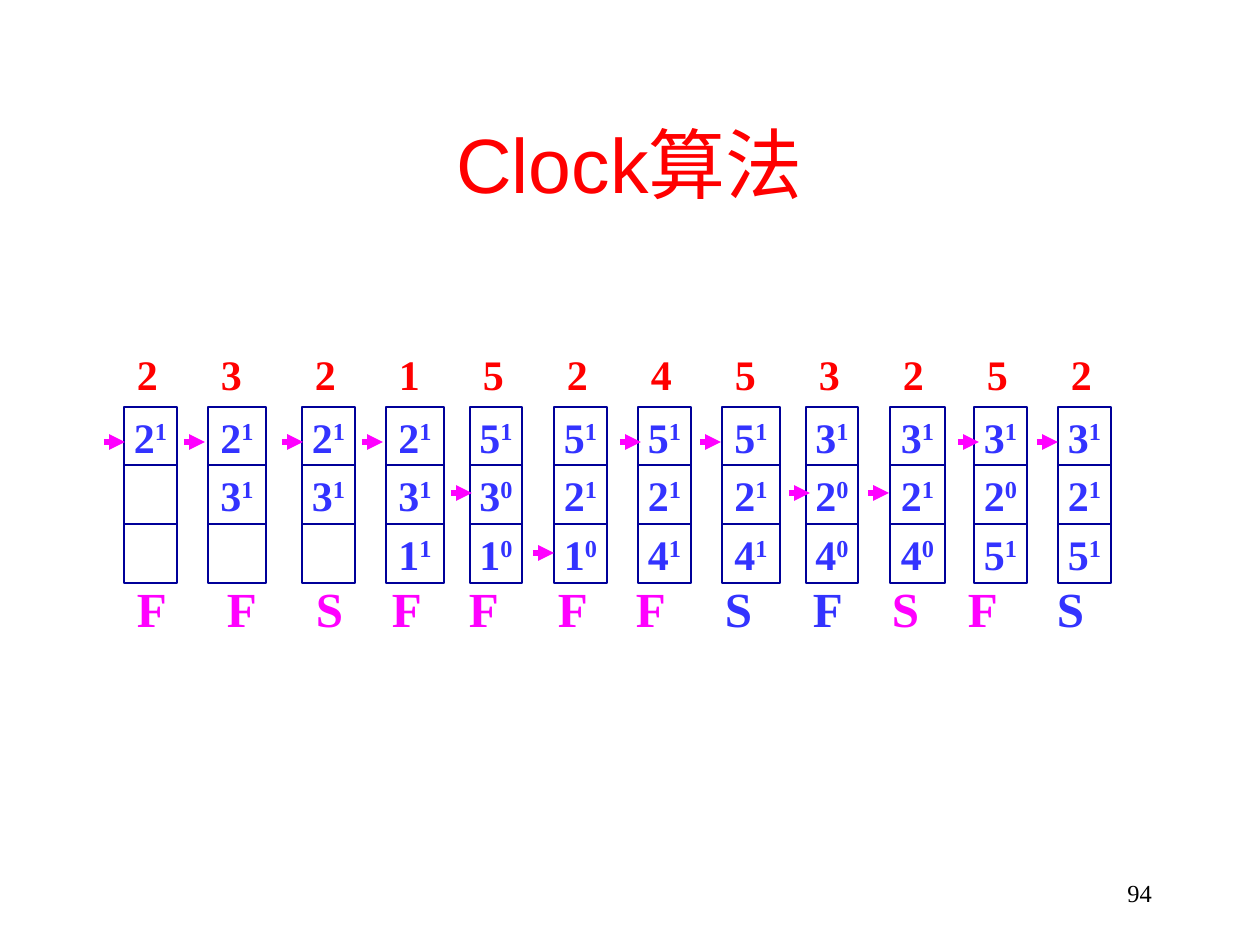
from collections import namedtuple

from pptx import Presentation
from pptx.dml.color import RGBColor as RGB
from pptx.enum.shapes import MSO_CONNECTOR as CONN, MSO_SHAPE as SHAPE
from pptx.enum.text import MSO_ANCHOR as ANCHOR, PP_ALIGN as ALIGN
from pptx.oxml.ns import qn
from pptx.util import Emu, Pt
from lxml.etree import SubElement

COLORS = {"red": "FF0000", "blue": "3333FF", "navy": "000099",
          "magenta": "FF00FF", "white": "FFFFFF", "black": "000000"}
SERIF = "Times New Roman"
INSET_X, INSET_Y = 13, 6
PITCH = 84
ROW_TOPS = (0, 58, 117)
CELL_H = 59
HAND_YS = (35, 86, 146)
HAND_LEN = 21

Step = namedtuple("Step", "page width frames hand hand_dx result color result_x")
STEPS = [
    Step("2", 53, ["21", "", ""], 0, -20, "F", "magenta", 0),
    Step("3", 58, ["21", "31", ""], 0, -24, "F", "magenta", 90),
    Step("2", 53, ["21", "31", ""], 0, -20, "S", "magenta", 179),
    Step("1", 58, ["21", "31", "11"], 0, -24, "F", "magenta", 255),
    Step("5", 52, ["51", "30", "10"], 1, -19, "F", "magenta", 332),
    Step("2", 53, ["51", "21", "10"], 2, -21, "F", "magenta", 421),
    Step("4", 53, ["51", "21", "41"], 0, -18, "F", "magenta", 499),
    Step("5", 58, ["51", "21", "41"], 0, -22, "S", "blue", 588),
    Step("3", 52, ["31", "20", "40"], 1, -17, "F", "blue", 676),
    Step("2", 55, ["31", "21", "40"], 1, -22, "S", "magenta", 755),
    Step("5", 53, ["31", "20", "51"], 0, -16, "F", "magenta", 831),
    Step("2", 53, ["31", "21", "51"], 0, -21, "S", "blue", 920),
]


def px(n):
    return Emu(round(n * 914400 / 126))


def rgb(name):
    return RGB.from_string(COLORS[name])


def step_x(i):
    return i * PITCH + (10 if i > 1 else 0)


def write(sp, runs, size, font=SERIF, bold=False, align=ALIGN.LEFT, wrap=True, tabs=()):
    tf = sp.text_frame
    tf.word_wrap = wrap
    tf.vertical_anchor = ANCHOR.MIDDLE
    tf.margin_left = tf.margin_right = px(INSET_X)
    tf.margin_top = tf.margin_bottom = px(INSET_Y)
    p = tf.paragraphs[0]
    p.alignment = align
    if tabs:
        tab_list = SubElement(p._p.get_or_add_pPr(), qn("a:tabLst"))
        for x in tabs:
            SubElement(tab_list, qn("a:tab"), pos=str(px(x)), algn="l")
    for text, color, *baseline in runs:
        r = p.add_run()
        r.text = text
        r.font.size = Pt(size)
        r.font.name = font
        r.font.bold = bold
        r.font.color.rgb = rgb(color)
        if baseline:
            r._r.get_or_add_rPr().set("baseline", str(baseline[0]))


def label(s, box, text, **fmt):
    color = fmt.pop("color")
    write(s.shapes.add_textbox(*map(px, box)), [(text, color)], **fmt)


def rect(shapes, box, line=None):
    sp = shapes.add_shape(SHAPE.RECTANGLE, *map(px, box))
    sp.shadow.inherit = False
    sp.fill.solid()
    sp.fill.fore_color.rgb = rgb("white")
    if line:
        sp.line.color.rgb = rgb(line)
        sp.line.width = Pt(1.5)
    else:
        sp.line.fill.background()
    return sp


def strip(s, box, items, stops, size):
    runs = [("\t" * (i > 0) + text, color) for i, (text, color) in enumerate(items)]
    write(rect(s.shapes, box), runs, size=size, bold=True, tabs=stops[1:])


def frame_column(s, x, y, step):
    group = s.shapes.add_group_shape()
    for top, frame in zip(ROW_TOPS, step.frames):
        sp = rect(group.shapes, (x, y + top, step.width, CELL_H), "navy")
        if frame:
            page, use_bit = frame
            write(sp, [(page, "blue"), (use_bit, "blue", 30000)], size=24,
                  bold=True, align=ALIGN.CENTER, wrap=False)


def clock_hand(s, x, y):
    c = s.shapes.add_connector(CONN.STRAIGHT, px(x), px(y), px(x + HAND_LEN), px(y))
    c.line.color.rgb = rgb("magenta")
    c.line.width = Pt(3)
    SubElement(c.line._get_or_add_ln(), qn("a:tailEnd"), type="triangle")
    SubElement(c._element.spPr, qn("a:effectLst"))


def clock_trace(s, x, y):
    strip(s, (x, y, 1018, 59), [(step.page, "red") for step in STEPS],
          [step_x(i) for i in range(len(STEPS))], size=24)
    strip(s, (x, y + 234, 1008, 59), [(step.result, step.color) for step in STEPS],
          [step.result_x for step in STEPS], size=28)
    top = y + 63
    for i, step in enumerate(STEPS):
        frame_column(s, x + step_x(i), top, step)
    for i, step in enumerate(STEPS):
        clock_hand(s, x + step_x(i) + step.hand_dx, top + HAND_YS[step.hand])


def main():
    prs = Presentation()
    prs.slide_width, prs.slide_height = px(1260), px(945)
    s = prs.slides.add_slide(prs.slide_layouts[6])
    label(s, (903, 861, 262, 63), "94", size=14, color="black", align=ALIGN.RIGHT)
    label(s, (94, 84, 1071, 158), "Clock算法", size=44, font="Arial",
          color="red", align=ALIGN.CENTER)
    clock_trace(s, 124, 344)
    prs.save("out.pptx")


if __name__ == "__main__":
    main()
